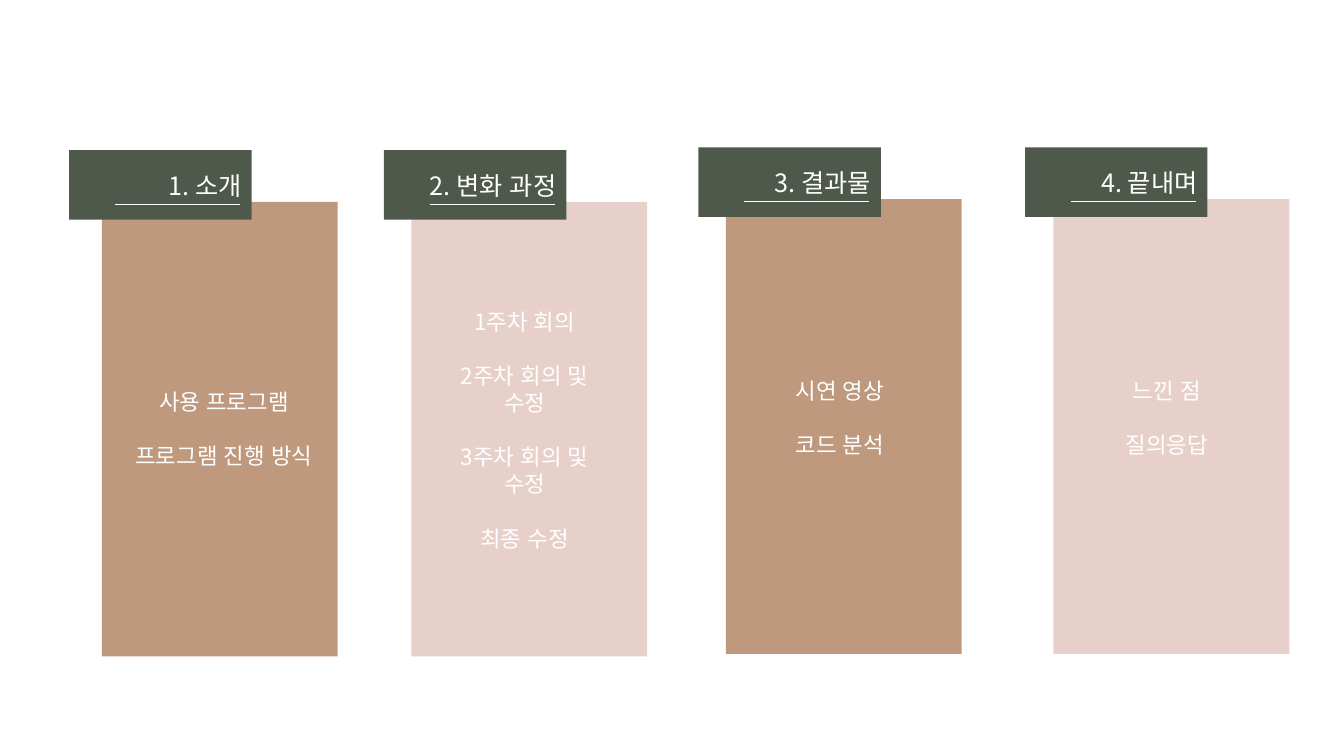
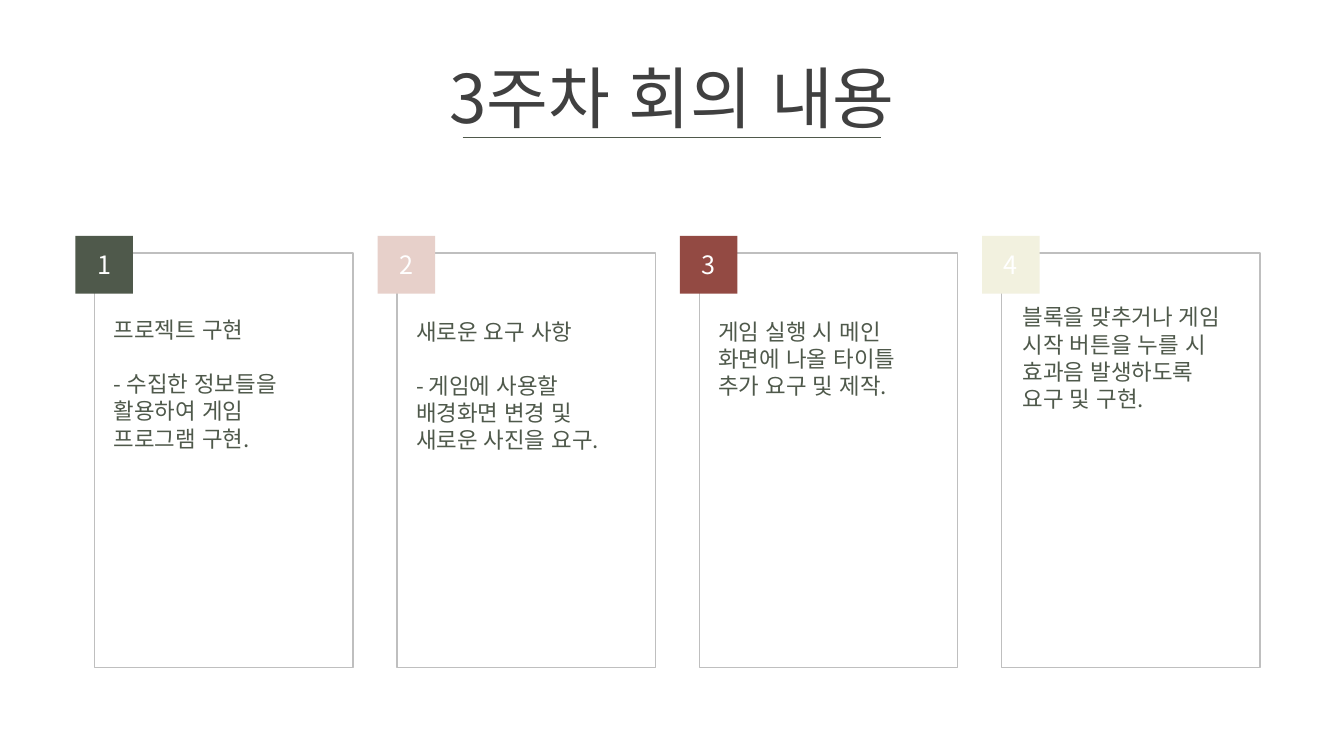
import dataclasses

import lxml.etree
import pptx
import pptx.dml.color
import pptx.enum.lang
import pptx.enum.shapes
import pptx.enum.text
import pptx.oxml.ns
import pptx.util

Pt = pptx.util.Pt
ALIGN = pptx.enum.text.PP_ALIGN
ANCHOR = pptx.enum.text.MSO_ANCHOR


@dataclasses.dataclass(frozen=True)
class Theme:
    font: str = "Noto Sans CJK KR"
    green: str = "4F594B"
    tan: str = "BE997E"
    pink: str = "E7D0CA"
    red: str = "934A43"
    cream: str = "F2F1DF"
    white: str = "FFFFFF"
    title: str = "404040"
    frame: str = "BFBFBF"
    title_size: float = 48
    label_size: float = 18
    body_size: float = 16
    leading: float = 1.21
    rule_width: float = 0.5
    frame_width: float = 1


@dataclasses.dataclass(frozen=True)
class Chapter:
    heading: str
    topics: tuple
    color: str
    left: float
    top: float
    tab_shift: float
    topics_inset: float
    topics_top: float
    topics_width: float = 124.5


@dataclasses.dataclass(frozen=True)
class Note:
    paragraphs: tuple
    color: str
    text_inset: float = 6.5
    text_top: float = 42.5


THEME = Theme()
SLIDE_WIDTH, SLIDE_HEIGHT = 960, 540
PANEL_WIDTH, PANEL_HEIGHT = 168.5, 324.7
TAB_WIDTH, TAB_HEIGHT, TAB_RISE = 130.3, 49.7, 37
FRAME_WIDTH, FRAME_HEIGHT = 184.5, 296
FRAME_LEFT, FRAME_TOP, FRAME_PITCH = 67.7, 180.7, 215.9
BADGE_SIZE = 41.2

CHAPTERS = (
    Chapter("1. 소개", ("사용 프로그램", "프로그램 진행 방식"),
            THEME.tan, 72.7, 144.2, 23.3, 9.5, 129.5, 155.5),
    Chapter("2. 변화 과정",
            ("1주차 회의", "2주차 회의 및 수정", "3주차 회의 및 수정", "최종 수정"),
            THEME.pink, 293.8, 144.2, 19.6, 18.7, 72),
    Chapter("3. 결과물", ("시연 영상", "코드 분석"),
            THEME.tan, 518.5, 142.3, 19.6, 19.2, 123.4),
    Chapter("4. 끝내며", ("느낀 점", "질의응답"),
            THEME.pink, 752.5, 142.3, 20.3, 18.7, 123.4),
)
NOTES = (
    Note(("프로젝트 구현", "- 수집한 정보들을 활용하여 게임 프로그램 구현."),
         THEME.green, text_top=41.5),
    Note(("새로운 요구 사항", "- 게임에 사용할 배경화면 변경 및 새로운 사진을 요구."),
         THEME.pink),
    Note(("게임 실행 시 메인 화면에 나올 타이틀 추가 요구 및 제작.",), THEME.red),
    Note(("블록을 맞추거나 게임 시작 버튼을 누를 시 효과음 발생하도록 요구 및 구현.",),
         THEME.cream, text_inset=8, text_top=32.4),
)


def rgb(color):
    return pptx.dml.color.RGBColor.from_string(color)


def write(frame, paragraphs, size, color, align, anchor=ANCHOR.TOP):
    frame.word_wrap = True
    frame.vertical_anchor = anchor
    leading = size * THEME.leading
    for index, words in enumerate(paragraphs):
        paragraph = frame.add_paragraph() if index else frame.paragraphs[0]
        paragraph.text = words
        paragraph.alignment = align
        paragraph.line_spacing = Pt(leading)
        if index:
            paragraph.space_before = Pt(leading)
        font = paragraph.font
        font.name = THEME.font
        font.size = Pt(size)
        font.color.rgb = rgb(color)
        font.language_id = pptx.enum.lang.MSO_LANGUAGE_ID.KOREAN
        defaults = paragraph._p.pPr.find(pptx.oxml.ns.qn("a:defRPr"))
        east_asian = lxml.etree.SubElement(defaults, pptx.oxml.ns.qn("a:ea"))
        east_asian.set("typeface", THEME.font)


def add_text(slide, left, top, width, height, paragraphs, size, color, align):
    box = slide.shapes.add_textbox(Pt(left), Pt(top), Pt(width), Pt(height))
    write(box.text_frame, paragraphs, size, color, align)


def add_block(slide, left, top, width, height, fill=None, outline=None):
    block = slide.shapes.add_shape(
        pptx.enum.shapes.MSO_SHAPE.RECTANGLE,
        Pt(left), Pt(top), Pt(width), Pt(height))
    block.shadow.inherit = False
    if fill:
        block.fill.solid()
        block.fill.fore_color.rgb = rgb(fill)
    else:
        block.fill.background()
    if outline:
        block.line.color.rgb = rgb(outline)
        block.line.width = Pt(THEME.frame_width)
    else:
        block.line.fill.background()
    return block


def add_rule(slide, left, top, width, color):
    rule = slide.shapes.add_connector(
        pptx.enum.shapes.MSO_CONNECTOR.STRAIGHT,
        Pt(left), Pt(top), Pt(left + width), Pt(top))
    rule.line.color.rgb = rgb(color)
    rule.line.width = Pt(THEME.rule_width)
    lxml.etree.SubElement(rule._element.spPr, pptx.oxml.ns.qn("a:effectLst"))


def add_chapter(slide, chapter, left, top):
    add_block(slide, left, top, PANEL_WIDTH, PANEL_HEIGHT, chapter.color)
    tab_left = left - chapter.tab_shift
    tab = add_block(slide, tab_left, top - TAB_RISE, TAB_WIDTH, TAB_HEIGHT, THEME.green)
    write(tab.text_frame, (chapter.heading,), THEME.label_size, THEME.white,
          ALIGN.RIGHT, ANCHOR.MIDDLE)
    topics_top = top + chapter.topics_top
    add_text(slide, left + chapter.topics_inset, topics_top,
             chapter.topics_width, PANEL_HEIGHT - 2 * chapter.topics_top,
             chapter.topics, THEME.body_size, THEME.white, ALIGN.CENTER)
    add_rule(slide, tab_left + 32.7, top + 1.8, 89.3, THEME.white)


def add_note(slide, number, note, left, top):
    add_block(slide, left, top, FRAME_WIDTH, FRAME_HEIGHT, outline=THEME.frame)
    badge = add_block(slide, left - 13.9, top - 12.2, BADGE_SIZE, BADGE_SIZE, note.color)
    write(badge.text_frame, (str(number),), THEME.label_size, THEME.white,
          ALIGN.CENTER, ANCHOR.MIDDLE)
    add_text(slide, left + note.text_inset, top + note.text_top, 168.5, 104.4,
             note.paragraphs, THEME.body_size, THEME.green, ALIGN.LEFT)


def add_title(slide, words, top):
    width, rule_width = 366, 299
    add_text(slide, (SLIDE_WIDTH - width) / 2, top, width, 65.5,
             (words,), THEME.title_size, THEME.title, ALIGN.CENTER)
    add_rule(slide, (SLIDE_WIDTH - rule_width) / 2, top + 62, rule_width, THEME.green)


def build_contents(slide):
    for chapter in CHAPTERS:
        add_chapter(slide, chapter, chapter.left, chapter.top)


def build_meeting(slide):
    add_title(slide, "3주차 회의 내용", 36)
    for index, note in enumerate(NOTES):
        add_note(slide, index + 1, note, FRAME_LEFT + index * FRAME_PITCH, FRAME_TOP)


def main():
    deck = pptx.Presentation()
    deck.slide_width = Pt(SLIDE_WIDTH)
    deck.slide_height = Pt(SLIDE_HEIGHT)
    for build in (build_contents, build_meeting):
        build(deck.slides.add_slide(deck.slide_layouts[6]))
    deck.save("out.pptx")


if __name__ == "__main__":
    main()
